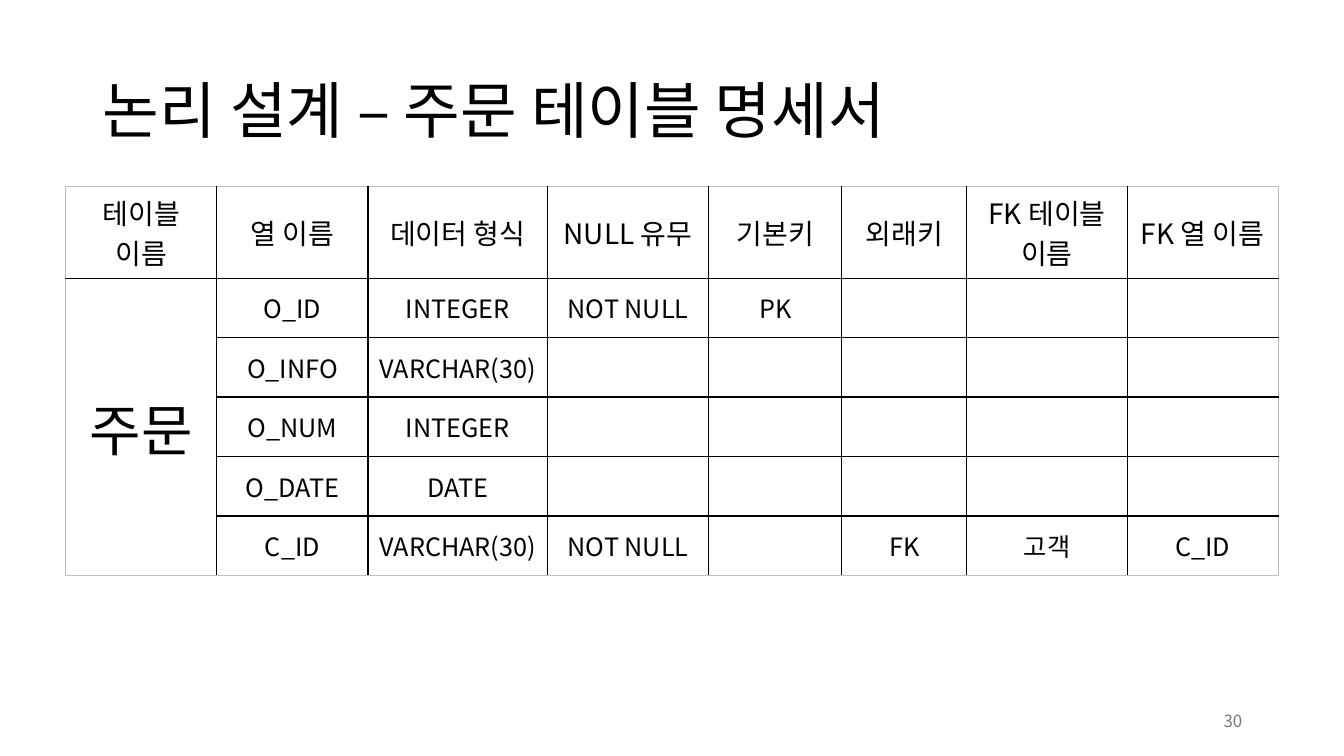
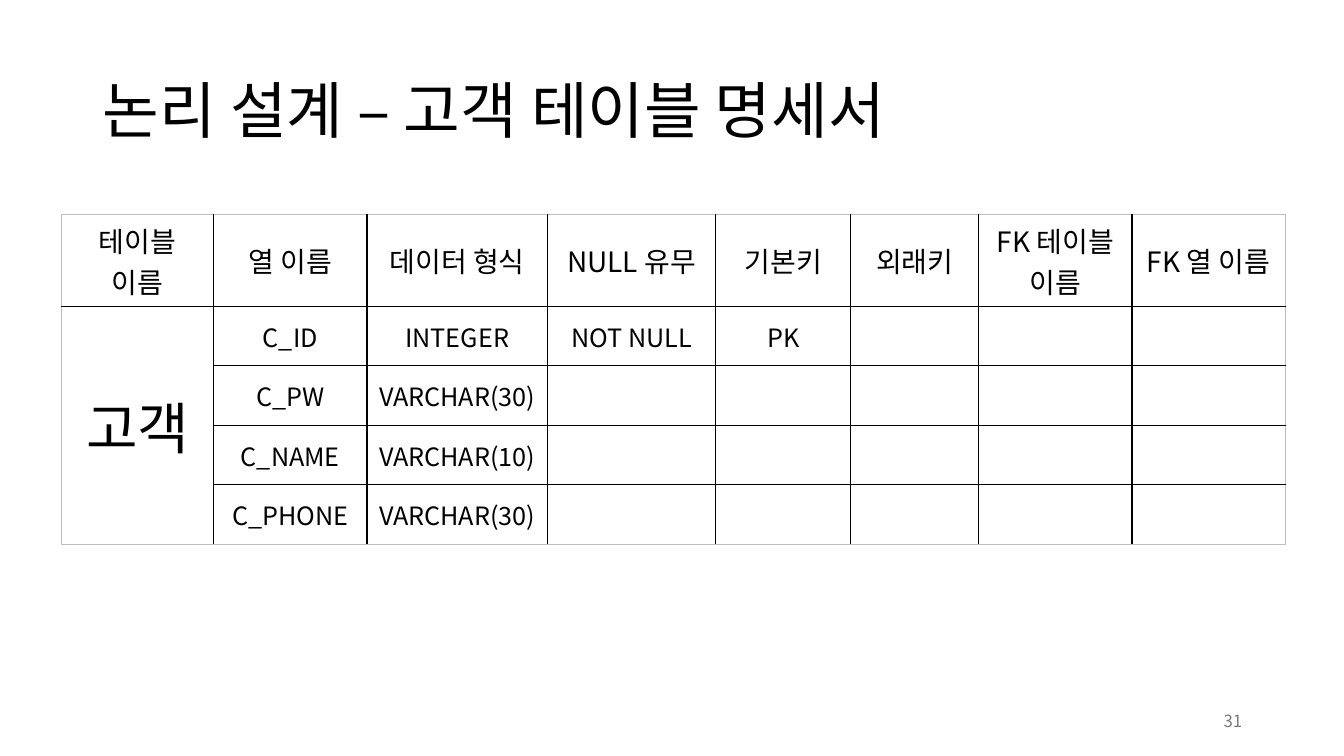
from lxml import etree
from pptx import Presentation
from pptx.dml.color import RGBColor
from pptx.enum.text import MSO_ANCHOR, MSO_AUTO_SIZE, PP_ALIGN
from pptx.oxml.ns import qn
from pptx.util import Inches, Pt

FONT = "Noto Sans CJK KR"
BLACK = RGBColor(0, 0, 0)
PAGE_GRAY = RGBColor(0x79, 0x79, 0x79)
EDGE_GRAY = RGBColor(0xBF, 0xBF, 0xBF)

HEADER = ["테이블 이름", "열 이름", "데이터 형식", "NULL 유무", "기본키", "외래키",
          "FK 테이블 이름", "FK 열 이름"]
HEADER_HEIGHT, ROW_HEIGHT = 0.91, 0.59

SPECIFICATIONS = [
    {
        "entity": "주문", "page": 30, "left": 0.65, "top": 1.85,
        "widths": [1.5, 1.5, 1.78, 1.6, 1.32, 1.24, 1.59, 1.5],
        "columns": [
            ("O_ID", "INTEGER", "NOT NULL", "PK"),
            ("O_INFO", "VARCHAR(30)"),
            ("O_NUM", "INTEGER"),
            ("O_DATE", "DATE"),
            ("C_ID", "VARCHAR(30)", "NOT NULL", "", "FK", "고객", "C_ID"),
        ],
    },
    {
        "entity": "고객", "page": 31, "left": 0.61, "top": 2.13,
        "widths": [1.51, 1.52, 1.79, 1.67, 1.34, 1.27, 1.52, 1.52],
        "columns": [
            ("C_ID", "INTEGER", "NOT NULL", "PK"),
            ("C_PW", "VARCHAR(30)"),
            ("C_NAME", "VARCHAR(10)"),
            ("C_PHONE", "VARCHAR(30)"),
        ],
    },
]


def write(frame, text, size, color=BLACK, align=PP_ALIGN.CENTER):
    frame.text = text
    paragraph = frame.paragraphs[0]
    paragraph.alignment = align
    for run in paragraph.runs:
        for key, value in {"name": FONT, "size": Pt(size), "bold": False}.items():
            setattr(run.font, key, value)
        run.font.color.rgb = color
        east_asian = etree.SubElement(run.font._element, qn("a:ea"))
        east_asian.set("typeface", FONT)
    return paragraph


def add_title(slide, text):
    title = slide.shapes.title
    place = {"left": 0.92, "top": 0.4, "width": 11.5, "height": 1.45}
    for key, value in place.items():
        setattr(title, key, Inches(value))
    frame = title.text_frame
    frame.auto_size = MSO_AUTO_SIZE.NONE
    frame.vertical_anchor = MSO_ANCHOR.MIDDLE
    write(frame, text, 44, align=PP_ALIGN.LEFT).line_spacing = 0.9


def add_page_number(slide, number):
    box = slide.shapes.add_textbox(Inches(9.42), Inches(6.95), Inches(3), Inches(0.4))
    box.text_frame.word_wrap = True
    box.text_frame.vertical_anchor = MSO_ANCHOR.MIDDLE
    write(box.text_frame, str(number), 12, PAGE_GRAY, PP_ALIGN.RIGHT)


def set_borders(cell, outer_sides):
    """Draw black inner rules and thin gray lines on the table's outer sides."""
    properties = cell._tc.get_or_add_tcPr()
    for position, side in enumerate("LRTB"):
        outer = side in outer_sides
        line = etree.Element(qn(f"a:ln{side}"), w=str(Pt(0.5 if outer else 1)))
        fill = etree.SubElement(line, qn("a:solidFill"))
        color = EDGE_GRAY if outer else BLACK
        etree.SubElement(fill, qn("a:srgbClr"), val=str(color))
        properties.insert(position, line)


def add_specification(slide, spec):
    body = [("", *column) for column in spec["columns"]]
    rows = [HEADER, *body]
    last_row, last_col = len(rows) - 1, len(HEADER) - 1
    heights = [HEADER_HEIGHT] + [ROW_HEIGHT] * last_row
    table = slide.shapes.add_table(
        len(rows), len(HEADER), Inches(spec["left"]), Inches(spec["top"]),
        Inches(sum(spec["widths"])), Inches(sum(heights))).table
    table.first_row = table.horz_banding = False
    for column, width in zip(table.columns, spec["widths"]):
        column.width = Inches(width)
    for row, height in zip(table.rows, heights):
        row.height = Inches(height)

    table.cell(1, 0).merge(table.cell(last_row, 0))
    for r, values in enumerate(rows):
        for c in range(len(HEADER)):
            cell = table.cell(r, c)
            cell.fill.background()
            cell.vertical_anchor = MSO_ANCHOR.MIDDLE
            if c < len(values) and values[c]:
                write(cell.text_frame, values[c], 18 if r else 20)
            at_bottom = r == last_row or cell.is_merge_origin
            edges = {"L": c == 0, "R": c == last_col, "T": r == 0, "B": at_bottom}
            set_borders(cell, [side for side, outer in edges.items() if outer])
    write(table.cell(1, 0).text_frame, spec["entity"], 40)


def main():
    prs = Presentation()
    prs.slide_width, prs.slide_height = Inches(13.33), Inches(7.5)
    title_only = prs.slide_layouts[5]
    for spec in SPECIFICATIONS:
        slide = prs.slides.add_slide(title_only)
        add_title(slide, f"논리 설계 – {spec['entity']} 테이블 명세서")
        add_specification(slide, spec)
        add_page_number(slide, spec["page"])
    prs.save("out.pptx")


if __name__ == "__main__":
    main()
